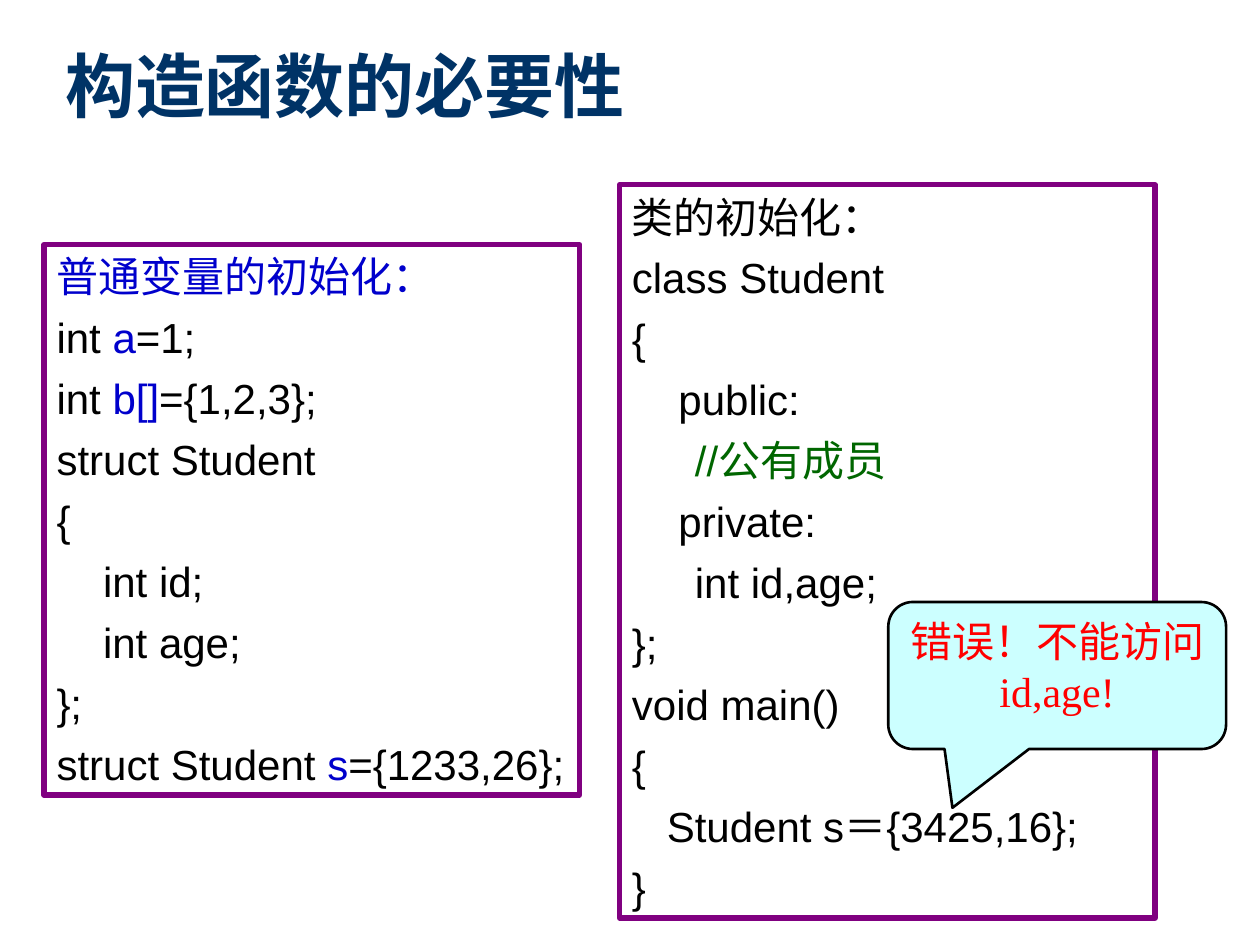
from pptx import Presentation
from pptx import util as u
from pptx.dml.color import RGBColor
from pptx.enum import shapes, text

NAVY = RGBColor(0x00, 0x33, 0x66)
PURPLE = RGBColor(0x80, 0x00, 0x80)
BLUE = RGBColor(0x00, 0x00, 0xCC)
GREEN = RGBColor(0x00, 0x66, 0x00)
RED = RGBColor(0xFF, 0x00, 0x00)
CYAN = RGBColor(0xCC, 0xFF, 0xFF)
BLACK = RGBColor(0x00, 0x00, 0x00)
WHITE = RGBColor(0xFF, 0xFF, 0xFF)

# Each line is a list of (words, colour) parts.
VARIABLE_CODE = [
    [("普通变量的初始化：", BLUE)],
    [("int ", BLACK), ("a", BLUE), ("=1;", BLACK)],
    [("int ", BLACK), ("b[]", BLUE), ("={1,2,3};", BLACK)],
    [("struct Student", BLACK)],
    [("{", BLACK)],
    [("    int id;", BLACK)],
    [("    int age;", BLACK)],
    [("};", BLACK)],
    [("struct Student ", BLACK), ("s", BLUE), ("={1233,26};", BLACK)],
]
CLASS_CODE = [
    [("类的初始化：", BLACK)],
    [("class Student", BLACK)],
    [("{", BLACK)],
    [("    public:", BLACK)],
    [("\t", BLACK), ("//公有成员", GREEN)],
    [("    private:", BLACK)],
    [("\tint id,age;", BLACK)],
    [("};", BLACK)],
    [("void main()", BLACK)],
    [("{", BLACK)],
    [("   Student s＝{3425,16};", BLACK)],
    [("}", BLACK)],
]


def apply_format(target, values):
    for name, value in values.items():
        setattr(target, name, value)


class SlideBuilder:
    code_font = {"name": "Arial", "size": u.Pt(24)}
    note_font = {"name": "Times New Roman", "size": u.Pt(24)}
    title_font = {"name": "Times New Roman", "size": u.Pt(40), "bold": True}
    frame = {"word_wrap": True, "auto_size": text.MSO_AUTO_SIZE.NONE,
             "margin_left": u.Pt(7.2), "margin_right": u.Pt(7.2),
             "margin_top": u.Pt(3.6), "margin_bottom": u.Pt(3.6)}

    def __init__(self, slide):
        self.slide = slide

    def add_lines(self, frame, lines, font, anchor, align, gap=0):
        apply_format(frame, {**self.frame, "vertical_anchor": anchor})
        for index, parts in enumerate(lines):
            paragraph = frame.add_paragraph() if index else frame.paragraphs[0]
            paragraph.alignment = align
            paragraph.space_before = u.Pt(gap if index else 0)
            for words, color in parts:
                run = paragraph.add_run()
                run.text = words
                apply_format(run.font, font)
                run.font.color.rgb = color

    def title(self, words, left, top, width, height):
        title = self.slide.shapes.title
        apply_format(title, {"left": u.Pt(left), "top": u.Pt(top),
                             "width": u.Pt(width), "height": u.Pt(height)})
        self.add_lines(title.text_frame, [[(words, NAVY)]], self.title_font,
                       text.MSO_ANCHOR.MIDDLE, text.PP_ALIGN.LEFT)

    def panel(self, kind, box, fill, line, weight):
        panel = self.slide.shapes.add_shape(kind, *map(u.Pt, box))
        panel.shadow.inherit = False
        panel.fill.solid()
        panel.fill.fore_color.rgb = fill
        panel.line.color.rgb = line
        panel.line.width = u.Pt(weight)
        return panel

    def code_box(self, lines, left, top, width, height):
        panel = self.panel(shapes.MSO_SHAPE.RECTANGLE,
                           (left, top, width, height), WHITE, PURPLE, 3)
        self.add_lines(panel.text_frame, lines, self.code_font,
                       text.MSO_ANCHOR.TOP, text.PP_ALIGN.LEFT, gap=6)

    def callout(self, words, left, top, width, height, tail):
        callout = self.panel(shapes.MSO_SHAPE.ROUNDED_RECTANGULAR_CALLOUT,
                             (left, top, width, height), CYAN, BLACK, 1.5)
        callout.adjustments[0], callout.adjustments[1] = tail
        self.add_lines(callout.text_frame, [[(words, RED)]], self.note_font,
                       text.MSO_ANCHOR.TOP, text.PP_ALIGN.CENTER)


def main():
    deck = Presentation()
    deck.slide_width, deck.slide_height = u.Pt(720), u.Pt(540)
    title_only = deck.slide_layouts[5]
    builder = SlideBuilder(deck.slides.add_slide(title_only))
    builder.title("构造函数的必要性", 30, 24, 672, 48)
    builder.code_box(CLASS_CODE, 354, 105.6, 306, 419)
    builder.callout("错误！不能访问id,age!", 507.6, 344, 193, 84, (-0.31, 0.9))
    builder.code_box(VARIABLE_CODE, 25.2, 139.8, 306, 314.6)
    deck.save("out.pptx")


if __name__ == "__main__":
    main()
